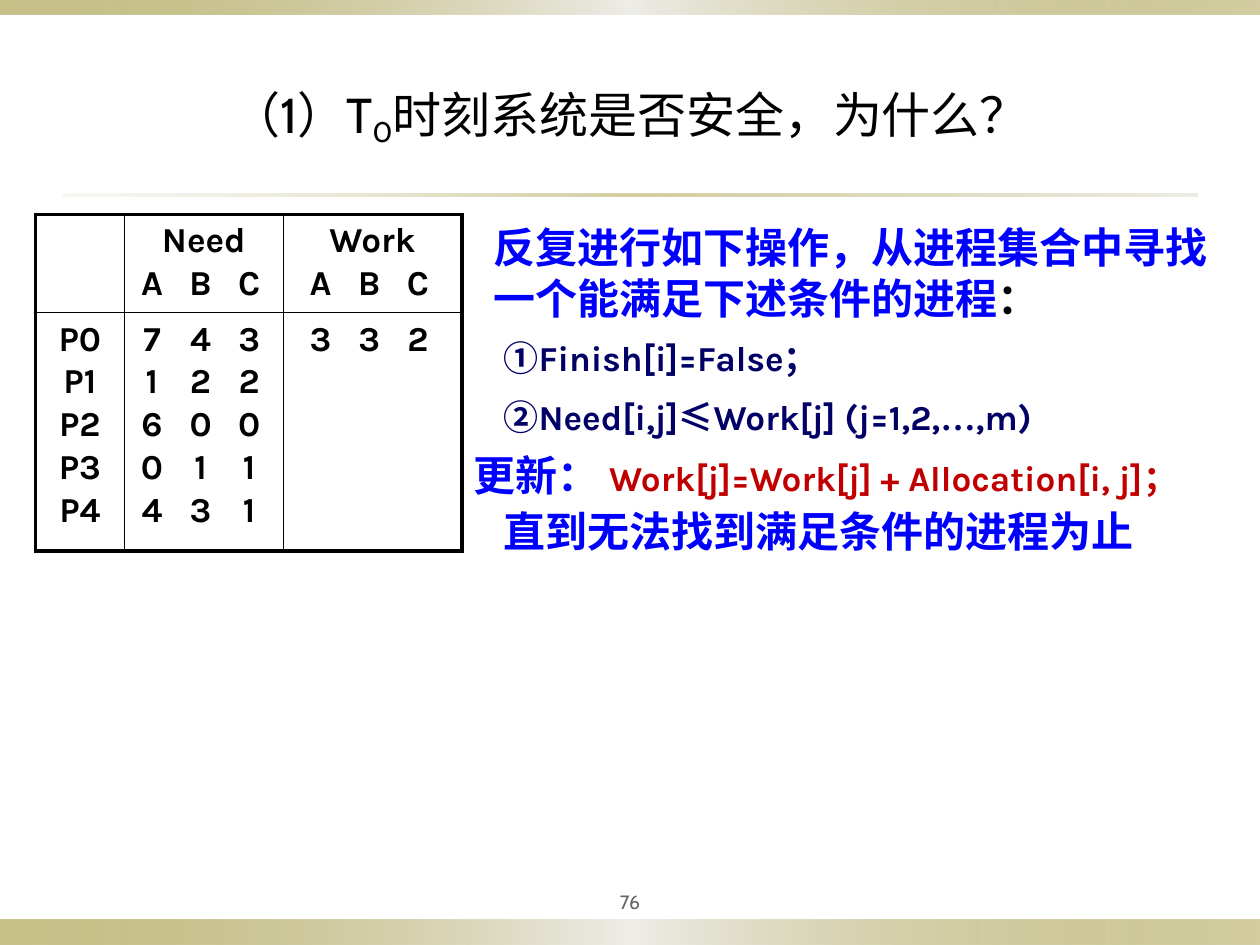
"""Build the slide on the safety check of the system at time T0."""
from dataclasses import dataclass

from lxml.etree import SubElement
from pptx import Presentation
from pptx.dml.color import RGBColor as RGB
from pptx.enum.shapes import MSO_SHAPE as SHAPE
from pptx.enum.text import MSO_ANCHOR as ANCHOR, PP_ALIGN as ALIGN
from pptx.oxml.ns import qn
from pptx.util import Cm, Pt


@dataclass(frozen=True)
class Theme:
    cjk: str = "Noto Sans CJK SC"
    head: str = "Cabin"
    body: str = "Karla"
    serif: str = "Times New Roman"
    black: str = "000000"
    grey: str = "636363"
    blue: str = "0000FF"
    navy: str = "000066"
    red: str = "C00000"
    gold: str = "918415"
    pale: str = "EEEDE8"
    sand: str = "DCD9CC"
    title: int = 28
    large: int = 24
    text: int = 20
    small: int = 11
    outer: float = 2.25
    inner: float = 1


class SlideBuilder:
    def __init__(self, slide, theme):
        self.s, self.t = slide, theme

    def band(self, left, top, width, height, stops):
        sp = self.s.shapes.add_shape(
            SHAPE.RECTANGLE, Cm(left), Cm(top), Cm(width), Cm(height))
        sp.shadow.inherit = False
        sp.line.fill.background()
        sp.fill.gradient()
        sp.fill.gradient_angle = 0
        gs_list = sp._element.spPr.find(qn("a:gradFill")).find(qn("a:gsLst"))
        for gs in list(gs_list):
            gs_list.remove(gs)
        for pos, color, alpha in stops:
            gs = SubElement(gs_list, qn("a:gs"), pos=str(pos * 1000))
            clr = SubElement(gs, qn("a:srgbClr"), val=color)
            SubElement(clr, qn("a:alpha"), val=str(alpha * 1000))

    def run(self, p, text, color, **fmt):
        r = p.add_run()
        r.text = text
        for name, value in fmt.items():
            setattr(r.font, name, value)
        r.font.color.rgb = RGB.from_string(color)
        SubElement(r._r.rPr, qn("a:ea"), typeface=self.t.cjk)
        return r

    def text(self, left, top, width, height, paragraphs, anchor=ANCHOR.TOP,
             inset=None, **para):
        sp = self.s.shapes.add_textbox(Cm(left), Cm(top), Cm(width), Cm(height))
        tf = sp.text_frame
        tf.word_wrap, tf.vertical_anchor = True, anchor
        if inset is not None:
            tf.margin_left = tf.margin_right = Cm(inset)
        for i, runs in enumerate(paragraphs):
            p = tf.add_paragraph() if i else tf.paragraphs[0]
            for name, value in para.items():
                if i or name != "space_before":
                    setattr(p, name, value)
            for text, fmt in runs:
                r = self.run(p, text, **fmt)
                if text == "0":
                    r._r.rPr.set("baseline", "-18000")

    def cell(self, cell, lines, tabs, edges):
        cell.fill.background()
        for i, line in enumerate(lines):
            tf = cell.text_frame
            p = tf.add_paragraph() if i else tf.paragraphs[0]
            if i:
                p.space_before = Pt(1)
            tabbed = "\t" in line
            p.alignment = ALIGN.LEFT if tabbed else ALIGN.CENTER
            if tabbed:
                tab_list = SubElement(p._p.get_or_add_pPr(), qn("a:tabLst"))
                for pos in tabs:
                    SubElement(tab_list, qn("a:tab"), pos=str(Cm(pos)), algn="ctr")
            self.run(p, line, self.t.black, name=self.t.body,
                     size=Pt(self.t.text), bold=True)
        tc_pr = cell._tc.get_or_add_tcPr()
        for i, (side, is_outer) in enumerate(edges.items()):
            width = self.t.outer if is_outer else self.t.inner
            ln = SubElement(tc_pr, qn(f"a:ln{side}"), w=str(Pt(width)))
            fill = SubElement(ln, qn("a:solidFill"))
            SubElement(fill, qn("a:srgbClr"), val=self.t.black)
            tc_pr.insert(i, ln)

    def table(self, left, top, widths, heights, rows, tabs):
        tbl = self.s.shapes.add_table(
            len(heights), len(widths), Cm(left), Cm(top),
            Cm(sum(widths)), Cm(sum(heights))).table
        tbl.first_row = tbl.horz_banding = False
        for col, width in zip(tbl.columns, widths):
            col.width = Cm(width)
        for i, (row, height) in enumerate(zip(rows, heights)):
            tbl.rows[i].height = Cm(height)
            for j, lines in enumerate(row):
                edges = {"L": j == 0, "R": j == len(widths) - 1,
                         "T": i == 0, "B": i == len(heights) - 1}
                self.cell(tbl.cell(i, j), lines, tabs[j], edges)


def tabbed(values):
    return "".join(f"\t{v}" for v in values)


def main():
    t = Theme()
    prs = Presentation()
    prs.slide_width, prs.slide_height = Cm(25.4), Cm(19.05)
    b = SlideBuilder(prs.slides.add_slide(prs.slide_layouts[6]), t)

    edge = [(0, t.gold, 50), (50, t.pale, 100), (100, t.gold, 40)]
    b.band(0, 18.54, 25.4, 0.51, edge)
    b.band(0, 0, 25.4, 0.3, edge)
    b.band(1.27, 3.91, 22.86, 0.05,
           [(0, t.sand, 20), (50, t.gold, 40), (100, t.sand, 50)])

    head = dict(name=t.head, size=Pt(t.title), color=t.black)
    head_cjk = head | dict(name=t.cjk)
    b.text(1.27, 0.76, 22.86, 3.18, [[
        ("（", head_cjk), ("1", head), ("）", head_cjk), ("T", head), ("0", head),
        ("时刻系统是否安全，为什么？", head_cjk)]],
        anchor=ANCHOR.MIDDLE, alignment=ALIGN.CENTER)
    b.text(11.43, 17.78, 2.54, 0.79,
           [[("76", dict(name=t.head, size=Pt(t.small), color=t.grey))]],
           anchor=ANCHOR.MIDDLE, inset=0.13, alignment=ALIGN.CENTER)

    need = ["743", "122", "600", "011", "431"]
    letters = tabbed("ABC")
    b.table(0.71, 4.32, [1.8, 3.2, 3.6], [1.9, 4.8], [
        [[], ["Need", letters], ["Work", letters]],
        [[f"P{i}" for i in range(len(need))],
         [tabbed(row) for row in need], [tabbed("332")]],
    ], [[]] + [[start + 0.98 * k for k in range(3)] for start in (0.3, 0.5)])

    blue = dict(name=t.cjk, size=Pt(t.large), color=t.blue, bold=True)
    navy = dict(name=t.body, size=Pt(t.text), color=t.navy, bold=True)
    navy_cjk = navy | dict(name=t.cjk)
    red = navy | dict(color=t.red)
    b.text(9.7, 4.34, 15.4, 2.31, [[
        ("反复进行如下操作，从进程集合中寻找一个能满足下述条件的进程", blue),
        ("：", blue | dict(color=t.black))]], line_spacing=Pt(29))
    b.text(9.9, 6.65, 13.8, 2.39, [
        [("①", navy_cjk), ("Finish[i]=False", navy), ("；", navy_cjk)],
        [("②", navy_cjk), ("Need[i,j]", navy), ("≤", navy_cjk),
         ("Work[j] (j=1,2,", navy), ("…", navy | dict(name=t.serif)), (",m)", navy)],
    ], line_spacing=Pt(24), space_before=Pt(10))
    b.text(9.3, 8.94, 15.8, 1.27, [[
        ("更新： ", blue | dict(name=t.body)),
        ("Work[j]=Work[j] + Allocation[i, j]", red),
        ("；", red | dict(name=t.cjk))]], line_spacing=Pt(29))
    b.text(9.9, 10.06, 15.4, 1.27, [[("直到无法找到满足条件的进程为止", blue)]],
           line_spacing=Pt(29))

    prs.save("out.pptx")


if __name__ == "__main__":
    main()
